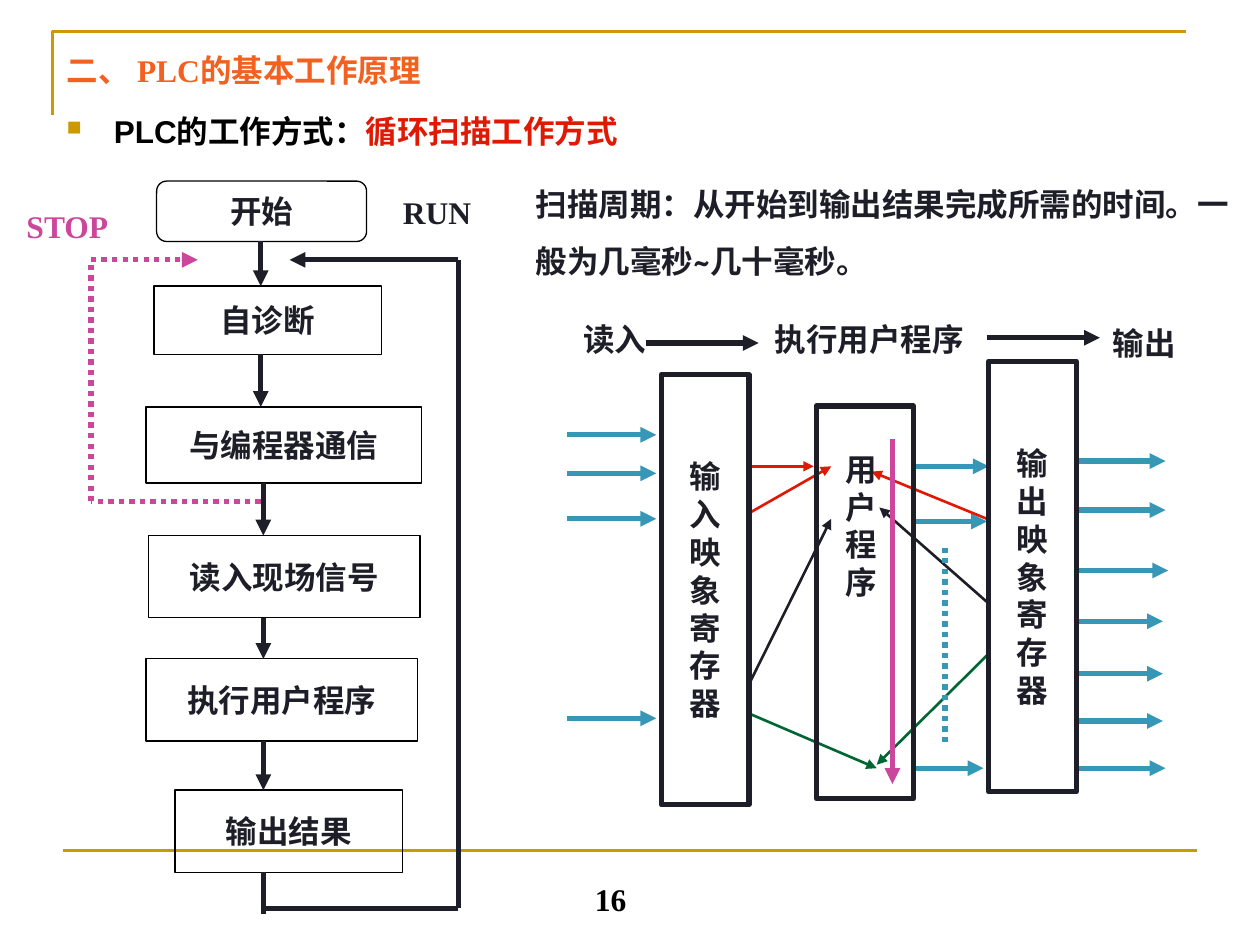
from lxml.etree import SubElement
from pptx import Presentation
from pptx.dml.color import RGBColor
from pptx.enum.dml import MSO_LINE
from pptx.enum.shapes import MSO_CONNECTOR, MSO_SHAPE
from pptx.enum.text import MSO_ANCHOR, PP_ALIGN
from pptx.oxml.ns import qn
from pptx.util import Pt

COLORS = {"gold": "CC9900", "orange": "F26120", "black": "000000", "red": "E01904",
          "ink": "1E1E28", "pink": "CB479C", "blue": "3698B6", "green": "006633",
          "white": "FFFFFF"}
SERIF = "Times New Roman"
THIN, THICK = 1.5, 3

# Content, in points
TITLE = "二、 PLC的基本工作原理"
SUBTITLE = [("PLC的工作方式：", "black"), ("循环扫描工作方式", "red")]
PERIOD = "扫描周期：从开始到输出结果完成所需的时间。一般为几毫秒~几十毫秒。"
PAGE_NUMBER = "16"

STEPS = [  # text, left, top, width, height
    ("开始", 89.5, 103.5, 120, 34.5),
    ("自诊断", 88, 163.5, 130, 39),
    ("与编程器通信", 83.5, 232.5, 157.5, 43.5),
    ("读入现场信号", 85, 306, 155, 47),
    ("执行用户程序", 83.5, 376.5, 155, 47),
    ("输出结果", 100, 451.5, 130, 47),
]
STEP_AXES = [149, 149, 150.5, 150.5, 150.5]
RUN_LOOP = [(150.5, 519), (262, 519), (262, 148.5), (165.5, 148.5)]
STOP_LOOP = [(149, 286.5), (52, 286.5), (52, 148.5), (113, 148.5)]

LABELS = [  # text, color, left, top, width
    ("STOP", "pink", 8, 115, 61),
    ("RUN", "ink", 223, 106.5, 53.5),
    ("读入", "ink", 326, 179.5, 50.5),
    ("执行用户程序", "ink", 435.5, 179.5, 122.5),
    ("输出", "ink", 628.5, 181.5, 50.5),
]

SIGNAL_LENGTH = 51
INPUT_SIGNALS = [(324, y) for y in (248.5, 270.5, 296.5, 410.5)]
OUTPUT_SIGNALS = [(615, 263.5), (615, 291.5), (616.5, 326), (613.5, 355),
                  (613.5, 385), (613.5, 412), (615, 439)]
DATA_FLOWS = [  # color, width, start, end
    ("red", THIN, (427.5, 266.5), (465, 266.5)),
    ("blue", THICK, (522, 266.5), (565, 266.5)),
    ("ink", THIN, (426, 395), (475, 296.5)),
    ("red", THIN, (425, 295), (475, 266.5)),
    ("ink", THIN, (564, 344), (502.5, 290)),
    ("blue", THICK, (522, 298), (564, 298)),
    ("blue", THICK, (520.5, 439), (562, 439)),
    ("red", THIN, (564, 296.5), (498, 269.5)),
    ("green", THIN, (427.5, 407.5), (501, 439)),
    ("green", THIN, (564, 374.5), (501, 437)),
]
HEADING_ARROWS = [
    ("pink", THICK, (510, 251), (510, 448)),
    ("ink", THICK, (369, 196), (433.5, 196)),
    ("ink", THICK, (564, 193), (628.5, 193)),
]
REGISTERS = [("输入映象寄存器", 378, 214), ("输出映象寄存器", 565, 206.5)]


def rgb(color):
    return RGBColor.from_string(COLORS[color])


def style_run(run, color, font=SERIF):
    run.font.name, run.font.size, run.font.bold = font, Pt(18), True
    run.font.color.rgb = rgb(color)


def write(shape, lines, color="ink", font=SERIF, align=PP_ALIGN.CENTER,
          anchor=MSO_ANCHOR.TOP, wrap=False):
    frame = shape.text_frame
    frame.text = "\n".join(lines)
    frame.word_wrap, frame.vertical_anchor = wrap, anchor
    for paragraph in frame.paragraphs:
        paragraph.alignment = align
        for run in paragraph.runs:
            style_run(run, color, font)
    return frame


def add_text(left, top, width, height, lines, **style):
    box = slide.shapes.add_textbox(Pt(left), Pt(top), Pt(width), Pt(height))
    return write(box, lines, **style)


def add_box(kind, left, top, width, height, line, weight, fill=None):
    shape = slide.shapes.add_shape(kind, Pt(left), Pt(top), Pt(width), Pt(height))
    shape.shadow.inherit = False
    if fill:
        shape.fill.solid()
        shape.fill.fore_color.rgb = rgb(fill)
    else:
        shape.fill.background()
    shape.line.color.rgb, shape.line.width = rgb(line), Pt(weight)
    return shape


def add_line(color, weight, start, end, arrow=True, dotted=False):
    line = slide.shapes.add_connector(MSO_CONNECTOR.STRAIGHT, *map(Pt, start + end))
    line.line.color.rgb, line.line.width = rgb(color), Pt(weight)
    if dotted:
        line.line.dash_style = MSO_LINE.ROUND_DOT
    properties = line._element.spPr
    if arrow:
        SubElement(properties.find(qn("a:ln")), qn("a:tailEnd"), type="triangle")
    SubElement(properties, qn("a:effectLst"))


def add_loop(color, points, dotted=False):
    for index, (start, end) in enumerate(zip(points, points[1:]), 2):
        add_line(color, THICK, start, end, arrow=index == len(points), dotted=dotted)


presentation = Presentation()
presentation.slide_width, presentation.slide_height = Pt(720), Pt(540)
slide = presentation.slides.add_slide(presentation.slide_layouts[5])

# Frame lines
builder = slide.shapes.build_freeform(Pt(30), Pt(66))
builder.add_line_segments([(Pt(30), Pt(18)), (Pt(678), Pt(18))], close=False)
corner = builder.convert_to_shape()
corner.shadow.inherit = False
corner.fill.background()
corner.line.color.rgb, corner.line.width = rgb("gold"), Pt(THIN)
add_line("gold", THIN, (36, 486), (684, 486), arrow=False)

# Title, bulleted subtitle and scan period
title = slide.shapes.title
title.left, title.top, title.width, title.height = Pt(31), Pt(26), Pt(689), Pt(28)
write(title, [TITLE], color="orange", align=PP_ALIGN.LEFT,
      anchor=MSO_ANCHOR.MIDDLE, wrap=True)

subtitle = add_text(31, 60.5, 497, 29.5, [""], align=PP_ALIGN.LEFT, wrap=True).paragraphs[0]
bullet = subtitle._p.get_or_add_pPr()
bullet.set("marL", str(Pt(27)))
bullet.set("indent", str(-Pt(27)))
SubElement(SubElement(bullet, qn("a:buClr")), qn("a:srgbClr"), val=COLORS["gold"])
SubElement(bullet, qn("a:buSzPct"), val="65000")
SubElement(bullet, qn("a:buChar"), char="■")
for text, color in SUBTITLE:
    run = subtitle.add_run()
    run.text = text
    style_run(run, color, "Arial")

period = add_text(299, 91.5, 421, 72, [PERIOD], font="Karla", align=PP_ALIGN.LEFT, wrap=True)
period.paragraphs[0].line_spacing = 1.5

# Flowchart
for index, (text, *place) in enumerate(STEPS):
    kind = MSO_SHAPE.FLOWCHART_PROCESS if index else MSO_SHAPE.FLOWCHART_ALTERNATE_PROCESS
    write(add_box(kind, *place, "black", 0.75), [text], anchor=MSO_ANCHOR.MIDDLE)
for x, upper, lower in zip(STEP_AXES, STEPS, STEPS[1:]):
    add_line("ink", THICK, (x, upper[2] + upper[4]), (x, lower[2]))
add_line("ink", THICK, (150.5, 498.5), (150.5, 522), arrow=False)
add_loop("ink", RUN_LOOP)
add_loop("pink", STOP_LOOP, dotted=True)

# Signals and data flows
for x, y in INPUT_SIGNALS + OUTPUT_SIGNALS:
    add_line("blue", THICK, (x, y), (x + SIGNAL_LENGTH, y))
for flow in DATA_FLOWS:
    add_line(*flow)
add_line("blue", THICK, (540, 313), (540, 427), arrow=False, dotted=True)

# User program and image registers
add_text(476, 253.5, 32.5, 93.5, list("用户程序"))
add_box(MSO_SHAPE.RECTANGLE, 466.5, 232, 55.5, 224.5, "ink", THICK)
for text, left, top in REGISTERS:
    register = add_box(MSO_SHAPE.RECTANGLE, left, top, 50, 246, "ink", THICK, "white")
    write(register, list(text), anchor=MSO_ANCHOR.MIDDLE)

# Labels, heading arrows and page number
for text, color, left, top, width in LABELS:
    add_text(left, top, width, 29, [text], color=color)
for arrow in HEADING_ARROWS:
    add_line(*arrow)
add_text(281, 507, 136, 21, [PAGE_NUMBER], color="black", anchor=MSO_ANCHOR.BOTTOM, wrap=True)

presentation.save("out.pptx")
